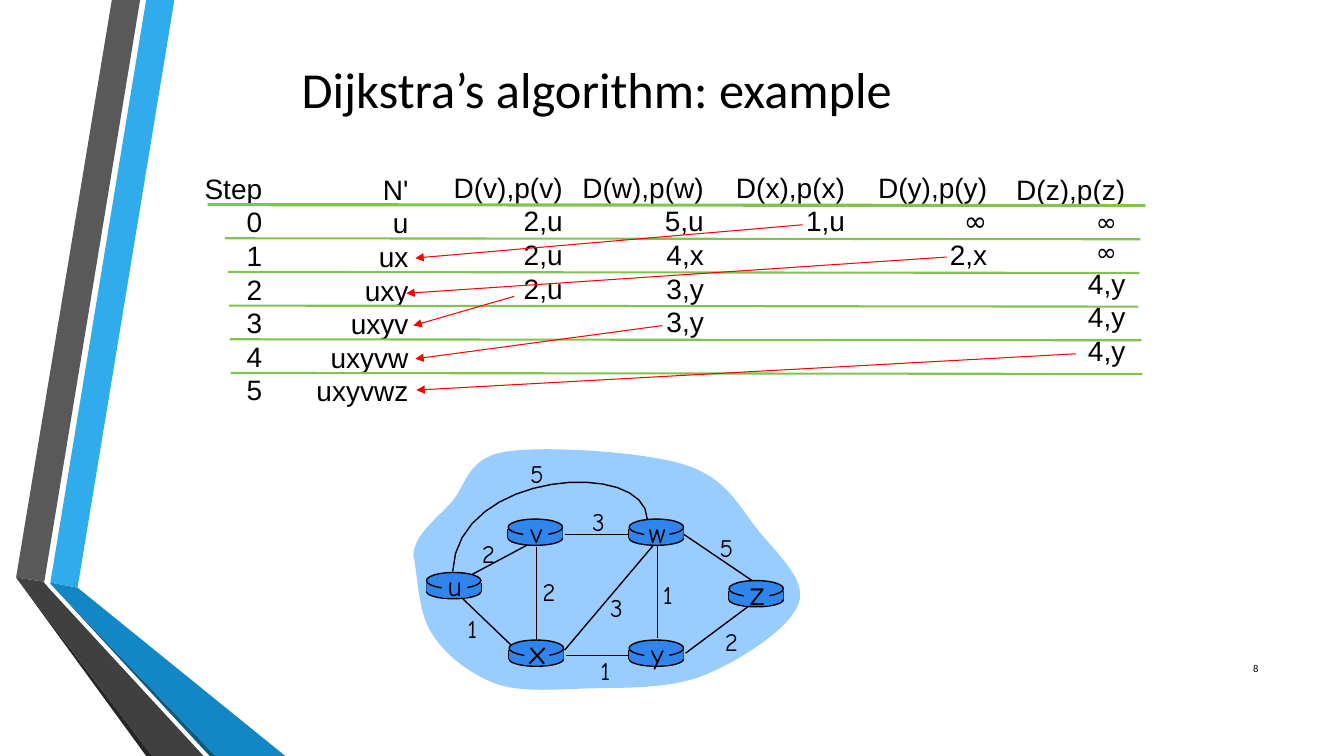
import dataclasses

import pptx
import pptx.dml.color
import pptx.enum.shapes
import pptx.enum.text
import pptx.oxml
import pptx.oxml.ns
import pptx.util

Inches = pptx.util.Inches
Pt = pptx.util.Pt
Align = pptx.enum.text.PP_ALIGN
Anchor = pptx.enum.text.MSO_ANCHOR
Shape = pptx.enum.shapes.MSO_SHAPE


@dataclasses.dataclass(frozen=True)
class Theme:
    """Colours, fonts and type sizes of the slide."""
    ink: str = "000000"
    rule: str = "80C34F"
    arrow: str = "FF0000"
    cloud: str = "99CCFF"
    router: str = "3085ED"
    title_font: str = "Calibri"
    table_font: str = "Arial"
    graph_font: str = "Comic Neue"
    title_size: float = 36
    body_size: float = 20
    large_size: float = 24
    small_size: float = 18
    number_size: float = 7.5


THEME = Theme()

RIBBONS = [
    ("30ACEC", [(0.5, 5.78), (0.77, 5.83), (1.73, 0), (1.45, 0)]),
    ("595959", [(1.39, 0), (1.11, 0), (0.16, 5.73), (0.44, 5.77)]),
    ("262626", [(0.16, 5.73), (1.45, 7.5), (1.51, 7.5)]),
    ("0C5A82", [(0.5, 5.79), (2.08, 7.5), (2.14, 7.5)]),
    ("1287C3", [(0.5, 5.79), (2.14, 7.5), (2.83, 7.5), (0.77, 5.83), (0.5, 5.78)]),
    ("404040", [(2.02, 7.5), (0.48, 5.83), (0.43, 5.77), (0.16, 5.73), (1.51, 7.5)]),
]

COLUMNS = [
    (0, 0.01, 0.77, ["Step", "0", "1", "2", "3", "4", "5"]),
    (1.11, 0.02, 1.11, ["N'", "u", "ux", "uxy", "uxyv", "uxyvw", "uxyvwz"]),
    (2.47, 0, 1.28, ["D(v),p(v)", "2,u", "2,u", "2,u"]),
    (3.75, 0, 1.4, ["D(w),p(w)", "5,u", "4,x", "3,y", "3,y"]),
    (5.27, 0, 1.28, ["D(x),p(x)", "1,u"]),
    (6.68, 0, 1.28, ["D(y),p(y)", "∞", "2,x"]),
    (8.05, 0.02, 1.28, ["D(z),p(z)", "∞ ", "∞ ", "4,y", "4,y", "4,y"]),
]
RULE_SPANS = [(0.13, 9.43), (0.3, 9.38), (0.33, 9.37),
              (0.34, 9.36), (0.35, 9.39), (0.36, 9.4)]
ARROWS = [((6.03, 0.59), (2.19, 0.92)), ((7.46, 0.91), (2.1, 1.27)),
          ((3.17, 1.3), (2.17, 1.59)), ((4.64, 1.59), (2.19, 1.92)),
          ((8.74, 1.87), (2.2, 2.23))]

CLOUD = [(0, 1.09), (0.01, 0.88), (0.23, 0.73), (0.38, 0.56), (0.53, 0.39),
         (0.53, 0.12), (0.92, 0.06), (1.3, 0), (2.28, 0.06), (2.69, 0.19),
         (3.11, 0.32), (3.23, 0.61), (3.42, 0.84), (3.6, 1.07), (3.91, 1.33),
         (3.82, 1.57), (3.73, 1.82), (3.23, 2.14), (2.88, 2.28), (2.53, 2.42),
         (2.07, 2.4), (1.72, 2.41), (1.38, 2.42), (1.06, 2.45), (0.81, 2.36),
         (0.55, 2.26), (0.31, 2.07), (0.18, 1.86), (0.04, 1.64), (0.04, 1.24),
         (0, 1.09)]
ARC = [(2.32, 0.73), (2.31, 0.13), (0.43, 0.24), (0.39, 1.25)]
LINKS = [((0.58, 1.28), (1.18, 0.96)), ((2.42, 1), (2.42, 1.91)),
         ((1.22, 1.01), (1.22, 1.94)), ((1.5, 2.03), (2.38, 0.99)),
         ((2.7, 2.06), (3.33, 1.59)), ((2.15, 2.08), (1.51, 2.08)),
         ((0.97, 1.98), (0.49, 1.52)), ((2.14, 0.88), (1.5, 0.88)),
         ((3.36, 1.34), (2.68, 0.88))]
ROUTERS = [("u", 0.13, 1.26, THEME.body_size), ("x", 0.95, 1.93, THEME.large_size),
           ("v", 0.94, 0.73, THEME.body_size), ("w", 2.14, 0.73, THEME.body_size),
           ("y", 2.14, 1.93, THEME.body_size), ("z", 3.13, 1.34, THEME.large_size)]
COSTS = [("2", 0.57, 0.87), ("2", 1.17, 1.25), ("1", 0.43, 1.62), ("3", 1.84, 1.41),
         ("1", 1.75, 2.03), ("1", 2.37, 1.28), ("2", 2.98, 1.74), ("5", 2.93, 0.81),
         ("3", 1.66, 0.55), ("5", 1.05, 0.08)]


def colour(value):
    """Turn a hex value into a colour."""
    return pptx.dml.color.RGBColor.from_string(value)


def paint(shape, fill=None, line=None):
    """Set the fill and outline of a shape."""
    shape.shadow.inherit = False
    if fill:
        shape.fill.solid()
        shape.fill.fore_color.rgb = colour(fill)
    else:
        shape.fill.background()
    if line:
        shape.line.color.rgb = colour(line)
        shape.line.width = Pt(1)
    else:
        shape.line.fill.background()


def add_preset(slide, kind, left, top, width, height, fill, line=None):
    """Add a painted preset shape."""
    shape = slide.shapes.add_shape(
        kind, Inches(left), Inches(top), Inches(width), Inches(height))
    paint(shape, fill, line)


def add_outline(slide, points, fill=None, line=None, closed=True):
    """Add a freeform through points."""
    corners = [(Inches(x), Inches(y)) for x, y in points]
    builder = slide.shapes.build_freeform(*corners[0])
    builder.add_line_segments(corners[1:], close=closed)
    paint(builder.convert_to_shape(), fill, line)


def curve(controls, left, top, steps=16):
    """Trace joined cubic curves, moved to left and top."""
    points = [controls[0]]
    for first in range(0, len(controls) - 1, 3):
        for step in range(1, steps + 1):
            t = step / steps
            weights = ((1 - t) ** 3, 3 * t * (1 - t) ** 2, 3 * t * t * (1 - t), t ** 3)
            points.append(tuple(
                sum(weight * control[axis] for weight, control
                    in zip(weights, controls[first:first + 4])) for axis in (0, 1)))
    return [(left + x, top + y) for x, y in points]


def add_line(slide, start, end, left, top, line, width, arrow=False):
    """Add a straight line, moved to left and top."""
    connector = slide.shapes.add_connector(
        pptx.enum.shapes.MSO_CONNECTOR.STRAIGHT,
        Inches(left + start[0]), Inches(top + start[1]),
        Inches(left + end[0]), Inches(top + end[1]))
    connector.line.color.rgb = colour(line)
    connector.line.width = Pt(width)
    if arrow:
        tail = pptx.oxml.parse_xml(
            f'<a:tailEnd {pptx.oxml.ns.nsdecls("a")} type="triangle"/>')
        connector.line._get_or_add_ln().append(tail)
    connector._element.spPr.append(
        pptx.oxml.parse_xml(f'<a:effectLst {pptx.oxml.ns.nsdecls("a")}/>'))


def add_text(slide, box, lines, font, size, align, anchor=Anchor.TOP, wrap=False):
    """Add a text box with one paragraph per line."""
    frame = slide.shapes.add_textbox(*map(Inches, box)).text_frame
    frame.word_wrap = wrap
    frame.vertical_anchor = anchor
    frame.margin_left = 0
    if align == Align.CENTER:
        frame.margin_right = 0
    frame.text = "\n".join(lines)
    for paragraph in frame.paragraphs:
        paragraph.alignment = align
        for run in paragraph.runs:
            run.font.name = font
            run.font.size = Pt(size)
            run.font.color.rgb = colour(THEME.ink)
    return frame


def add_steps(slide, left, top):
    """Draw the columns, rules and arrows of the step table."""
    for x, y, width, lines in COLUMNS:
        height = 0.1 + len(lines) / 3
        frame = add_text(slide, (left + x, top + y, width, height), lines,
                         THEME.table_font, THEME.body_size, Align.RIGHT)
        for paragraph in frame.paragraphs:
            if "∞" in paragraph.text:
                paragraph.runs[0].font.name = THEME.graph_font
                if paragraph.text.endswith(" "):
                    paragraph.runs[0].font.size = Pt(THEME.small_size)
    for row, (start, end) in enumerate(RULE_SPANS):
        y = 0.39 + row * 0.334
        add_line(slide, (start, y), (end, y + 0.01), left, top, THEME.rule,
                 1.5 if row else 2.25)
    for start, end in ARROWS:
        add_line(slide, start, end, left, top, THEME.arrow, 0.75, arrow=True)


def add_router(slide, name, left, top, size):
    """Draw one router with its name."""
    add_preset(slide, Shape.OVAL, left, top + 0.12, 0.54, 0.14, THEME.router, THEME.ink)
    for x in (0, 0.54):
        add_line(slide, (x, 0.1), (x, 0.19), left, top, THEME.ink, 1)
    add_preset(slide, Shape.RECTANGLE, left, top + 0.1, 0.54, 0.09, THEME.router)
    add_preset(slide, Shape.OVAL, left, top, 0.54, 0.16, THEME.router, THEME.ink)
    add_preset(slide, Shape.RECTANGLE, left + 0.15, top + 0.02, 0.25, 0.23, THEME.router)
    height = 0.1 + size / 60
    middle = 0.13 if size == THEME.body_size else 0.11
    add_text(slide, (left + 0.09, top + middle - height / 2, 0.38, height), [name],
             THEME.graph_font, size, Align.CENTER)


def add_network(slide, left, top):
    """Draw the cloud with its routers, links and costs."""
    add_outline(slide, curve(CLOUD, left, top), fill=THEME.cloud)
    for start, end in LINKS:
        add_line(slide, start, end, left, top, THEME.ink, 1)
    add_outline(slide, curve(ARC, left, top), line=THEME.ink, closed=False)
    for name, x, y, size in ROUTERS:
        add_router(slide, name, left + x, top + y, size)
    for cost, x, y in COSTS:
        width = 0.31 if cost == "1" else 0.35
        add_text(slide, (left + x, top + y, width, 0.4), [cost],
                 THEME.graph_font, THEME.small_size, Align.CENTER)


def main():
    """Build and save the slide."""
    presentation = pptx.Presentation()
    presentation.slide_width = Inches(13.33)
    presentation.slide_height = Inches(7.5)
    slide = presentation.slides.add_slide(presentation.slide_layouts[6])
    for fill, points in RIBBONS:
        add_outline(slide, points, fill=fill)
    add_text(slide, (1.67, 0.25, 8.5, 1.25), ["Dijkstra’s algorithm: example"],
             THEME.title_font, THEME.title_size, Align.CENTER, Anchor.MIDDLE, wrap=True)
    add_steps(slide, 1.93, 1.64)
    add_network(slide, 4.1, 4.42)
    add_text(slide, (11.98, 6.43, 0.6, 0.4), ["8"], THEME.title_font,
             THEME.number_size, Align.RIGHT, Anchor.MIDDLE, wrap=True)
    presentation.save("out.pptx")


if __name__ == "__main__":
    main()
